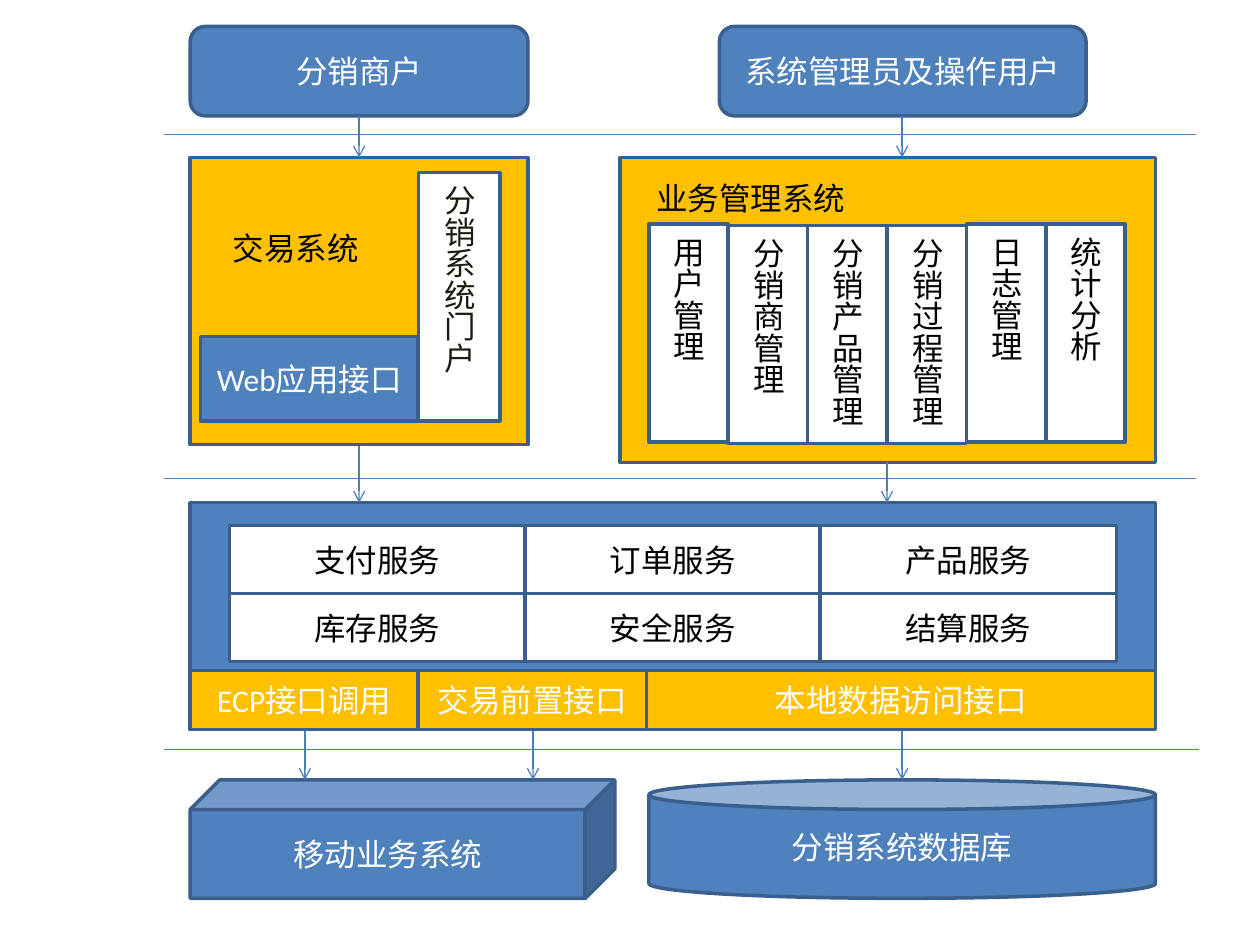
import dataclasses
import pptx
import pptx.dml.color
import pptx.enum.shapes
import pptx.enum.text
import pptx.oxml.ns
import pptx.util
from lxml import etree

KIND = pptx.enum.shapes.MSO_SHAPE
ALIGN = pptx.enum.text.PP_ALIGN
ANCHOR = pptx.enum.text.MSO_ANCHOR
qn = pptx.oxml.ns.qn


@dataclasses.dataclass(frozen=True)
class Theme:
    blue: str = "4F81BD"
    gold: str = "FFC000"
    white: str = "FFFFFF"
    black: str = "000000"
    portal: str = "1E1C11"
    border: str = "3A5F8C"
    link: str = "4B7EBC"
    font: str = "Calibri"
    size: float = 18
    border_width: float = 2
    link_width: float = 0.75


THEME = Theme()
COLUMNS, ROWS = 10, 7.5
WIDTH, HEIGHT = pptx.util.Inches(COLUMNS), pptx.util.Inches(ROWS)
LEFT, RIGHT = 1.51, 9.17
DIVIDER_LEFT = 1.3


def across(columns):
    return round(WIDTH * columns / COLUMNS)


def down(rows):
    return round(HEIGHT * rows / ROWS)


def place(left, top, width, height):
    return across(left), down(top), across(width), down(height)


def rgb(value):
    return pptx.dml.color.RGBColor.from_string(value)


def write(frame, text, color, align):
    paragraph = frame.paragraphs[0]
    paragraph.alignment = align
    run = paragraph.add_run()
    run.text = text
    run.font.name = THEME.font
    run.font.size = pptx.util.Pt(THEME.size)
    run.font.color.rgb = rgb(color)


def add_box(slide, area, fill, text="", color=THEME.white,
            kind=KIND.RECTANGLE, align=ALIGN.CENTER):
    box = slide.shapes.add_shape(kind, *place(*area))
    box.shadow.inherit = False
    box.fill.solid()
    box.fill.fore_color.rgb = rgb(fill)
    box.line.color.rgb = rgb(THEME.border)
    box.line.width = pptx.util.Pt(THEME.border_width)
    box.text_frame.vertical_anchor = ANCHOR.MIDDLE
    if text:
        write(box.text_frame, text, color, align)
    return box


def add_vertical_box(slide, area, text, color=THEME.black):
    box = add_box(slide, area, THEME.white, text, color, align=ALIGN.LEFT)
    box.text_frame._txBody.find(qn("a:bodyPr")).set("vert", "eaVert")


def add_label(slide, area, text, wrap=True):
    label = slide.shapes.add_textbox(*place(*area))
    label.text_frame.word_wrap = wrap
    label.text_frame.auto_size = pptx.enum.text.MSO_AUTO_SIZE.SHAPE_TO_FIT_TEXT
    write(label.text_frame, text, THEME.black, ALIGN.LEFT)


def add_line(slide, start, end, arrow=False):
    link = slide.shapes.add_connector(
        pptx.enum.shapes.MSO_CONNECTOR.STRAIGHT,
        across(start[0]), down(start[1]), across(end[0]), down(end[1]))
    link.line.color.rgb = rgb(THEME.link)
    link.line.width = pptx.util.Pt(THEME.link_width)
    if arrow:
        etree.SubElement(link.line._get_or_add_ln(), qn("a:tailEnd"), type="arrow")
    etree.SubElement(link._element.spPr, qn("a:effectLst"))


def add_users(slide):
    for left, width, user in ((LEFT, 2.68, "分销商户"),
                              (5.71, 2.91, "系统管理员及操作用户")):
        add_box(slide, (left, 0.21, width, 0.71), THEME.blue, user,
                kind=KIND.ROUNDED_RECTANGLE)


def add_trading_system(slide):
    add_box(slide, (LEFT, 1.25, 2.68, 2.28), THEME.gold)
    add_vertical_box(slide, (3.32, 1.37, 0.65, 1.97), "分销系统门户", THEME.portal)
    add_label(slide, (1.75, 1.77, 1.34, 0.4), "交易系统")
    add_box(slide, (1.59, 2.67, 1.73, 0.67), THEME.blue, "Web应用接口")


def add_management_system(slide):
    add_box(slide, (4.92, 1.25, 4.25, 2.42), THEME.gold)
    modules = ("用户管理", "分销商管理", "分销产品管理",
               "分销过程管理", "日志管理", "统计分析")
    for column, module in enumerate(modules):
        top = 1.79 if module.startswith("分销") else 1.78
        add_vertical_box(slide, (5.15 + 0.63 * column, top, 0.63, 1.73), module)
    add_label(slide, (5.11, 1.37, 1.72, 0.4), "业务管理系统", wrap=False)


def add_services(slide):
    add_box(slide, (LEFT, 3.99, RIGHT - LEFT, 1.34), THEME.blue)
    services = (("支付服务", "订单服务", "产品服务"),
                ("库存服务", "安全服务", "结算服务"))
    for row, names in enumerate(services):
        for column, service in enumerate(names):
            area = (1.82 + 2.345 * column, 4.17 + 0.54 * row, 2.35, 0.54)
            add_box(slide, area, THEME.white, service, THEME.black)


def add_interfaces(slide):
    left = LEFT
    for interface, width in (("ECP接口调用", 1.81), ("交易前置接口", 1.81),
                             ("本地数据访问接口", 4.04)):
        add_box(slide, (left, 5.32, width, 0.47), THEME.gold, interface)
        left += width


def add_back_ends(slide):
    for left, width, kind, system in (
            (LEFT, 3.37, KIND.CUBE, "移动业务系统"),
            (5.15, 4.02, KIND.CAN, "分销系统数据库")):
        add_box(slide, (left, 6.19, width, 0.94), THEME.blue, system, kind=kind)


def add_flows(slide):
    flows = ((2.85, 0.92, 1.25), (7.16, 0.92, 1.25),
             (2.85, 3.54, 3.99), (7.04, 3.67, 3.99),
             (2.42, 5.8, 6.19), (4.23, 5.8, 6.19), (7.16, 5.8, 6.19))
    for column, start, end in flows:
        add_line(slide, (column, start), (column, end), arrow=True)


def main():
    deck = pptx.Presentation()
    deck.slide_width, deck.slide_height = WIDTH, HEIGHT
    slide = deck.slides.add_slide(deck.slide_layouts.get_by_name("Blank"))
    for row, end in ((1.07, 9.49), (3.8, 9.49), (5.95, 9.52)):
        add_line(slide, (DIVIDER_LEFT, row), (end, row))
    for add_part in (add_users, add_trading_system, add_management_system,
                     add_services, add_interfaces, add_back_ends, add_flows):
        add_part(slide)
    deck.save("out.pptx")


main()
